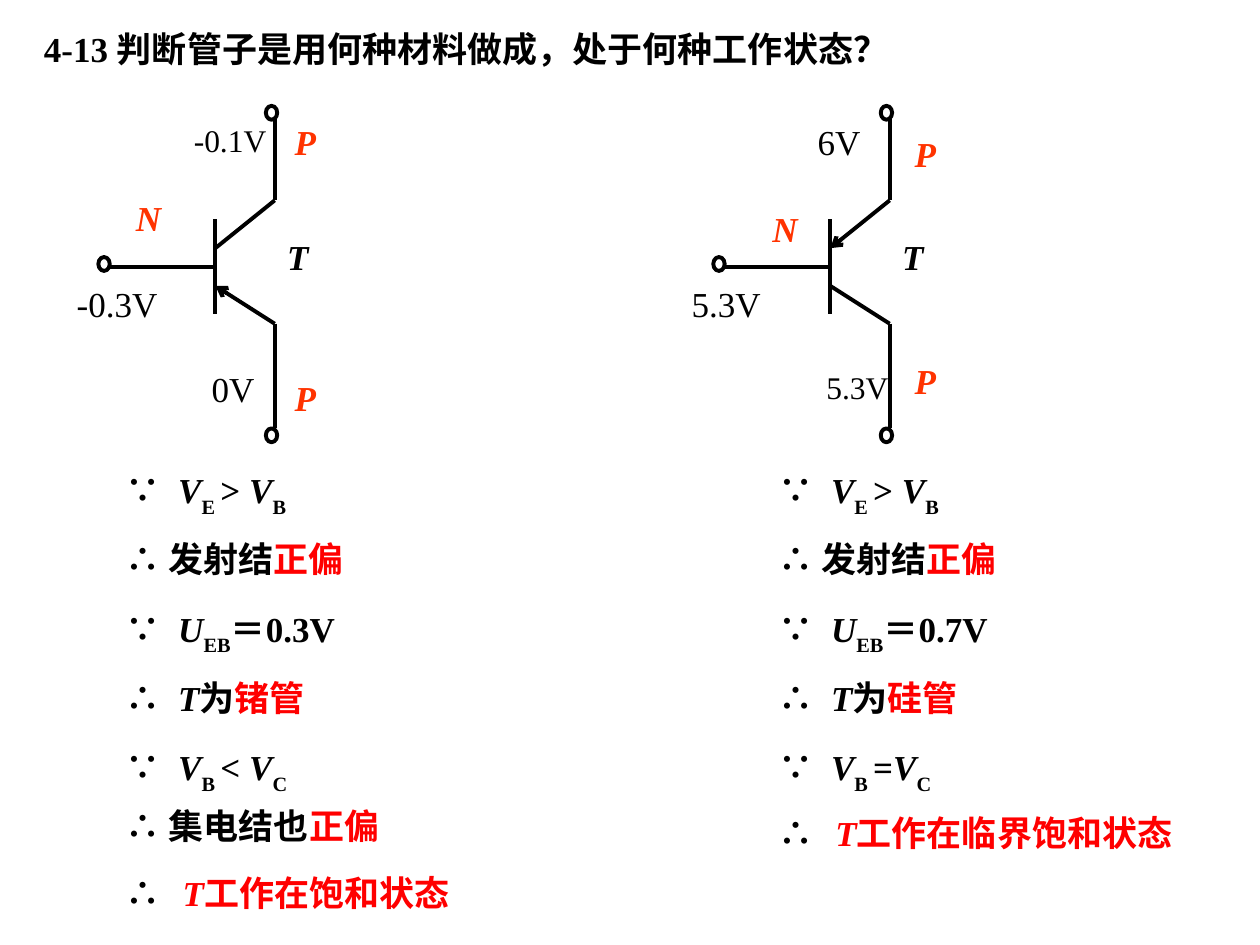
"""Build the slide that finds material and working state of two transistors."""
from lxml import etree
from pptx import Presentation
from pptx.dml.color import RGBColor
from pptx.enum.shapes import MSO_CONNECTOR, MSO_SHAPE
from pptx.enum.text import MSO_AUTO_SIZE, PP_ALIGN
from pptx.oxml.ns import qn
from pptx.util import Pt

STRAIGHT = MSO_CONNECTOR.STRAIGHT
OVAL = MSO_SHAPE.OVAL
GROW = MSO_AUTO_SIZE.SHAPE_TO_FIT_TEXT
JUSTIFY = PP_ALIGN.JUSTIFY

SERIF, SANS = "Times New Roman", "Noto Sans CJK SC"
BLACK, RED, ORANGE, WHITE = (
    RGBColor.from_string(code) for code in ("000000", "FF0000", "FF3300", "FFFFFF")
)
BODY = {"name": SERIF, "size": Pt(20), "bold": True, "italic": False}
THEME = {
    "bold": (BODY, BLACK),
    "italic": (BODY | {"italic": True}, BLACK),
    "sub": (BODY, BLACK),
    "sign": (BODY | {"name": SANS}, BLACK),
    "gap": (BODY | {"size": Pt(24)}, BLACK),
    "red": (BODY, RED),
    "red italic": (BODY | {"italic": True}, RED),
    "region": (BODY | {"italic": True}, ORANGE),
    "volt": (BODY | {"bold": False}, BLACK),
    "small volt": (BODY | {"bold": False, "size": Pt(18)}, BLACK),
}
LINE_WIDTH = Pt(2.25)

deck = Presentation()
deck.slide_width, deck.slide_height = Pt(720), Pt(540)
page = deck.slides.add_slide(deck.slide_layouts[6])


def add_text(left, top, width, spans, tab=None):
    """Add a text box of one paragraph made of (text, style) spans."""
    box = page.shapes.add_textbox(Pt(left), Pt(top), Pt(width), Pt(32))
    frame = box.text_frame
    frame.word_wrap, frame.auto_size = True, GROW
    para = frame.paragraphs[0]
    if tab:
        stops = etree.SubElement(para._p.get_or_add_pPr(), qn("a:tabLst"))
        etree.SubElement(stops, qn("a:tab"), pos=str(Pt(tab)), algn="l")
    for text, style in spans:
        span = para.add_run()
        span.text = text
        values, color = THEME[style]
        for key, value in values.items():
            setattr(span.font, key, value)
        span.font.color.rgb = color
        properties = span._r.get_or_add_rPr()
        etree.SubElement(properties, qn("a:ea"), typeface=SANS)
        if style == "sub":
            properties.set("baseline", "-30000")
    return para


title = add_text(18, 12.2, 558, [("4-13 判断管子是用何种材料做成，处于何种工作状态？", "bold")])
title.alignment = JUSTIFY

WIRES = {
    "base lead": (61.2, 152.6, 123.1, 152.6),
    "base": (123.1, 125.3, 123.1, 179.3),
    "upper": (123.1, 141.8, 157, 114.5),
    "lower": (123.1, 163.4, 157, 185),
    "upper lead": (157, 114.5, 157, 65.5),
    "lower lead": (157, 185, 157, 244.8),
}
TERMINALS = [(56.2, 146.9), (151.9, 244.8), (151.9, 60.5)]

for shift, emitter in [(0, "lower"), (351.4, "upper")]:
    for name, (x1, y1, x2, y2) in WIRES.items():
        wire = page.shapes.add_connector(
            STRAIGHT, Pt(x1 + shift), Pt(y1), Pt(x2 + shift), Pt(y2)
        )
        wire.line.color.rgb, wire.line.width = BLACK, LINE_WIDTH
        properties = wire._element.spPr
        if name == emitter:
            etree.SubElement(properties.find(qn("a:ln")), qn("a:headEnd"), type="arrow")
        etree.SubElement(properties, qn("a:effectLst"))
    for left, top in TERMINALS:
        terminal = page.shapes.add_shape(OVAL, Pt(left + shift), Pt(top), Pt(6.5), Pt(7.9))
        terminal.shadow.inherit = False
        terminal.fill.solid()
        terminal.fill.fore_color.rgb = WHITE
        terminal.line.color.rgb, terminal.line.width = BLACK, LINE_WIDTH
    add_text(157 + shift, 131, 48, [("T", "italic")])

LABELS = [
    (103.7, 65.5, "-0.1V", "small volt"),
    (36.7, 157.7, "-0.3V", "volt"),
    (113.8, 206.6, "0V", "volt"),
    (161.3, 65.5, "P", "region"),
    (161.3, 211.7, "P", "region"),
    (70.6, 108.7, "N", "region"),
    (460.1, 65.5, "6V", "volt"),
    (388.1, 157.7, "5.3V", "volt"),
    (465.1, 206.6, "5.3V", "small volt"),
    (515.5, 72, "P", "region"),
    (515.5, 201.6, "P", "region"),
    (434.2, 115.2, "N", "region"),
]
for left, top, text, style in LABELS:
    add_text(left, top, 38 if style == "region" else 77, [(text, style)])

BECAUSE, SO = ("∵\t", "sign"), ("∴\t", "sign")
SO_CLOSE, SO_FINAL = ("∴ ", "sign"), ("∴", "sign")
FORWARD = ("正偏", "red")
SOLUTIONS = [
    (64.8, "0.3V", "锗管", "< ", "工作在饱和状态",
     [[SO_CLOSE, ("集电结也", "bold"), FORWARD]]),
    (437.8, "0.7V", "硅管", "=", "工作在临界饱和状态", []),
]
for left, voltage, material, relation, state, extra in SOLUTIONS:
    steps = [
        [BECAUSE, ("V", "italic"), ("E ", "sub"), ("> ", "bold"), ("V", "italic"), ("B", "sub")],
        [SO_CLOSE, ("发射结", "bold"), FORWARD],
        [BECAUSE, ("U", "italic"), ("EB", "sub"), ("＝", "sign"), (voltage, "bold")],
        [SO, ("T", "italic"), ("为", "bold"), (material, "red")],
        [BECAUSE, ("V", "italic"), ("B ", "sub"), (relation, "bold"), ("V", "italic"), ("C", "sub")],
        *extra,
        [SO_FINAL, ("\t", "gap"), ("T", "red italic"), (state, "red")],
    ]
    for row, spans in enumerate(steps):
        top = 264.2 + 39.6 * min(row, 4) + 33.8 * max(row - 4, 0)
        add_text(left, top, 282, spans, tab=32.5 if spans[0] is SO_FINAL else 30)

deck.save("out.pptx")
